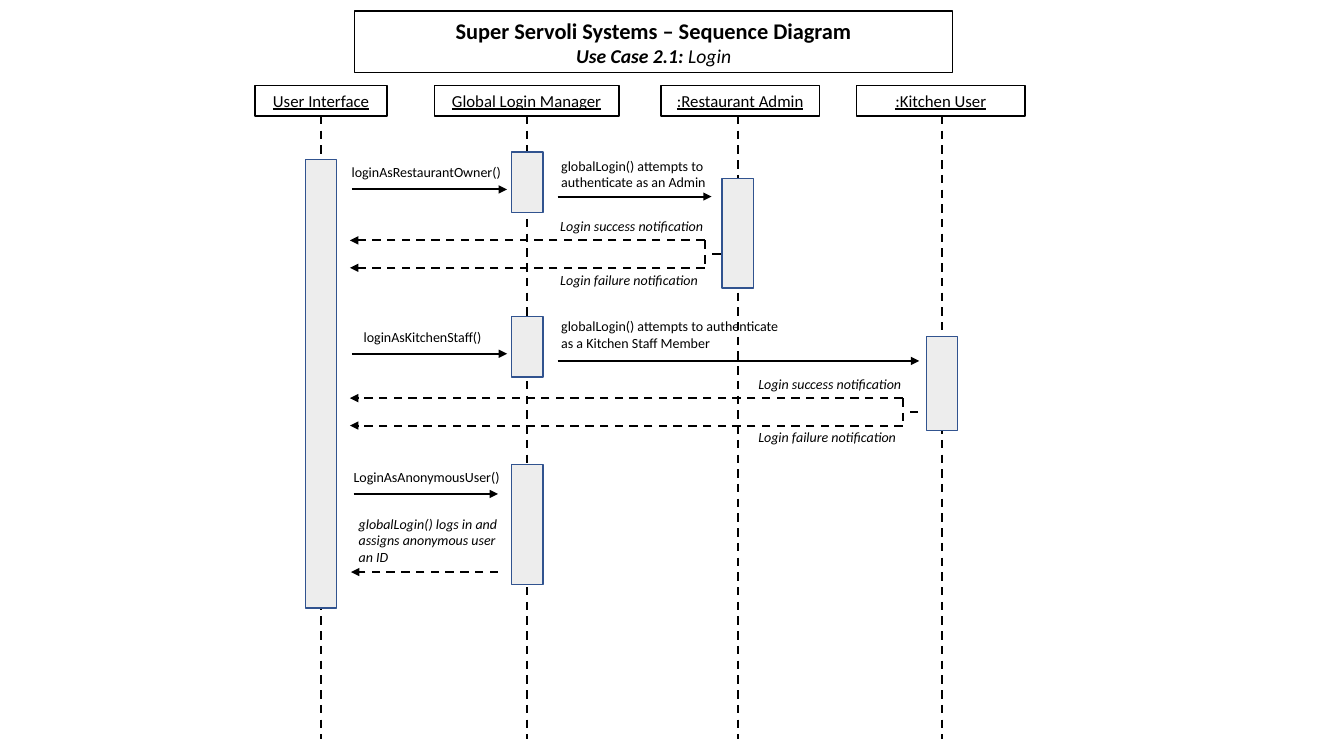
import pptx
import pptx.util
import pptx.dml.color
import pptx.enum.dml
import pptx.enum.shapes
import pptx.enum.text
import pptx.oxml.ns
import lxml.etree

Pt = pptx.util.Pt
BLACK = pptx.dml.color.RGBColor(0x00, 0x00, 0x00)
BAR_FILL = pptx.dml.color.RGBColor(0xED, 0xED, 0xED)
BAR_LINE = pptx.dml.color.RGBColor(0x31, 0x53, 0x8F)
FONT = "Calibri"
LINE_WEIGHT = 1.5
BAR_WIDTH = 22.3
HEADER_TOP, HEADER_HEIGHT, LIFELINE_END = 61.2, 21.6, 527.8


def add_span(para, text, size, bold=False, italic=False, underline=False):
    span = para.add_run()
    span.text = text
    font = span.font
    font.name, font.size = FONT, Pt(size)
    font.bold, font.italic, font.underline = bold, italic, underline
    font.color.rgb = BLACK


def add_box(page, left, top, width, height, fill=None, line=BLACK):
    box = page.shapes.add_shape(
        pptx.enum.shapes.MSO_SHAPE.RECTANGLE, Pt(left), Pt(top), Pt(width), Pt(height))
    box.shadow.inherit = False
    if fill is None:
        box.fill.background()
    else:
        box.fill.solid()
        box.fill.fore_color.rgb = fill
    box.line.color.rgb = line
    box.line.width = Pt(1)
    para = box.text_frame.paragraphs[0]
    para.alignment = pptx.enum.text.PP_ALIGN.CENTER
    return para


def add_label(page, text, left, top, width, height=19.4, italic=False):
    box = page.shapes.add_textbox(Pt(left), Pt(top), Pt(width), Pt(height))
    box.text_frame.word_wrap = True
    add_span(box.text_frame.paragraphs[0], text, 10, italic=italic)


def add_line(page, start, end, dashed=False, arrow=False):
    line = page.shapes.add_connector(
        pptx.enum.shapes.MSO_CONNECTOR.STRAIGHT,
        Pt(start[0]), Pt(start[1]), Pt(end[0]), Pt(end[1]))
    line.line.color.rgb = BLACK
    line.line.width = Pt(LINE_WEIGHT)
    if dashed:
        line.line.dash_style = pptx.enum.dml.MSO_LINE.DASH
    qn = pptx.oxml.ns.qn
    if arrow:
        stroke = line.line._get_or_add_ln()
        lxml.etree.SubElement(stroke, qn("a:tailEnd"), type="triangle")
    lxml.etree.SubElement(line._element.spPr, qn("a:effectLst"))


def add_title(page, left, top, width, height):
    para = add_box(page, left, top, width, height)
    add_span(para, "Super Servoli Systems – Sequence Diagram", 16, bold=True)
    para.add_line_break()
    add_span(para, "Use Case 2.1: ", 14, bold=True, italic=True)
    add_span(para, "Login", 14, italic=True)


def add_participant(page, name, left, width, axis, bars):
    """Header box, lifeline and activation bars, each bar as (top, height)."""
    para = add_box(page, left, HEADER_TOP, width, HEADER_HEIGHT)
    add_span(para, name, 12, underline=True)
    add_line(page, (axis, HEADER_TOP + HEADER_HEIGHT), (axis, LIFELINE_END), dashed=True)
    for top, height in bars:
        add_box(page, axis - BAR_WIDTH / 2, top, BAR_WIDTH, height, BAR_FILL, BAR_LINE)


def add_replies(page, left, top, width, height, stub):
    """Success and failure arrows, joined on the right by a bracket."""
    right, bottom, middle = left + width, top + height, top + height / 2
    for text, y, label_top in (("Login success notification", top, top - 19.6),
                               ("Login failure notification", bottom, bottom - 1.2)):
        add_label(page, text, right - 110.2, label_top, 117.4, italic=True)
        add_line(page, (right, y), (left, y), dashed=True, arrow=True)
    add_line(page, (right, top), (right, bottom), dashed=True)
    add_line(page, (right + stub, middle), (right + 2, middle), dashed=True)


def add_call(page, text, left, top, width, label_left, label_width):
    add_label(page, text, label_left, top - 21.8, label_width)
    add_line(page, (left, top), (left + width, top), arrow=True)


def add_login_exchange(page, left, top, width, call, call_left, request, request_top,
                       request_width, reply_top, reply_width, stub):
    """Call to the manager, its request to the user type, and the two replies."""
    add_call(page, call, left, top + 26.6, 110.9, call_left, 138.2)
    add_label(page, request, left + 142.5, request_top, request_width, 31.7)
    add_line(page, (left + 147, top + 31.7), (left + width, top + 31.7), arrow=True)
    add_replies(page, left - 1.3, top + reply_top, reply_width, 19.6, stub)


def add_anonymous_login(page, left, top, width, height):
    add_call(page, "LoginAsAnonymousUser()", left, top, width, left - 7.2, 121)
    bottom = top + height
    add_label(page, "globalLogin() logs in and assigns anonymous user an ID",
              left - 3.6, bottom - 44.2, 121, 43.9, italic=True)
    add_line(page, (left + width, bottom), (left - 2, bottom), dashed=True, arrow=True)


def main():
    deck = pptx.Presentation()
    deck.slide_width, deck.slide_height = Pt(960), Pt(540)
    page = deck.slides.add_slide(deck.slide_layouts[6])

    add_title(page, 253.4, 7.9, 427, 43.9)

    # Participants
    for name, left, width, axis, bars in (
            ("User Interface", 182.2, 94.3, 229.2, [(113.8, 320.4)]),
            ("Global Login Manager", 310.3, 131.8, 376.6,
             [(108.7, 43.2), (226.1, 43.2), (331.9, 85.7)]),
            (":Restaurant Admin", 472.3, 113, 527, [(127.4, 78.5)]),
            (":Kitchen User", 612, 120.2, 672.8, [(240.5, 67)])):
        add_participant(page, name, left, width, axis, bars)

    # Messages
    add_login_exchange(
        page, 251.3, 108.7, 257, "loginAsRestaurantOwner()", 244.1,
        "globalLogin() attempts to authenticate as an Admin", 108.7, 150.5,
        63, 253.3, 11.5)
    add_login_exchange(
        page, 251.3, 226.1, 405.3, "loginAsKitchenStaff()", 252.7,
        "globalLogin() attempts to authenticate as a Kitchen Staff Member", 223.2, 173.5,
        58.3, 394.8, 11.1)
    add_anonymous_login(page, 252.7, 352.8, 103, 55.8)

    deck.save("out.pptx")


if __name__ == "__main__":
    main()
